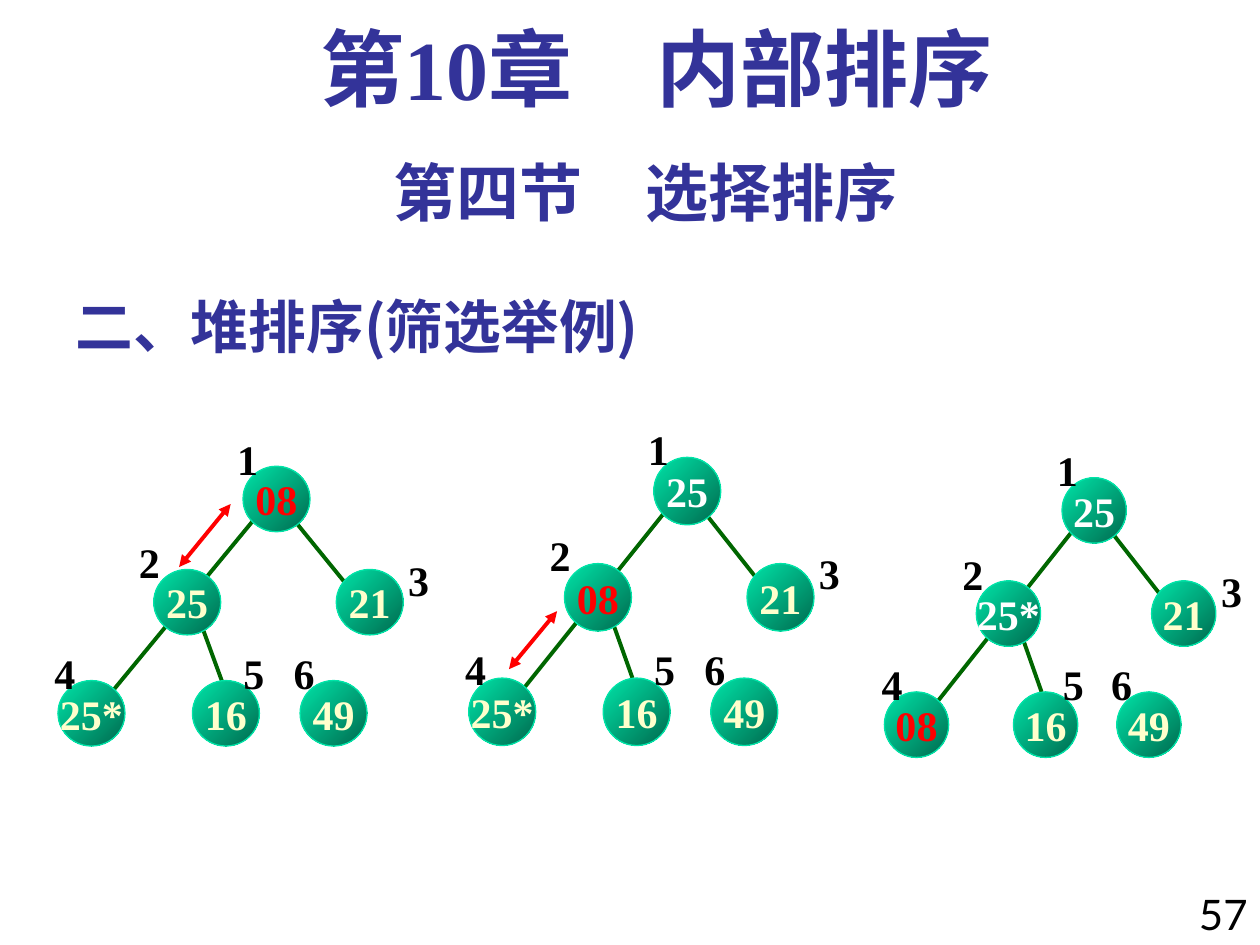
from pptx import Presentation
from pptx.dml.color import RGBColor
from pptx.enum.shapes import MSO_CONNECTOR, MSO_SHAPE
from pptx.enum.text import MSO_ANCHOR, PP_ALIGN
from pptx.oxml.ns import qn
from pptx.util import Cm, Pt
from lxml.etree import SubElement

NAVY = RGBColor(0x33, 0x33, 0x99)
BLACK = RGBColor(0, 0, 0)
WHITE = RGBColor(0xFF, 0xFF, 0xFF)
CREAM = RGBColor(0xFF, 0xFF, 0xCC)
RED = RGBColor(0xFF, 0, 0)
GREEN = RGBColor(0, 0x66, 0)
MINT = RGBColor(0, 0xE4, 0xA8)
TEAL = RGBColor(0, 0x6A, 0x4E)

SERIF, SANS, CJK = "Times New Roman", "Lato", "Noto Sans CJK SC"

# Offsets in cm from the top left of the root node
NODES = [(0, 0), (-1.8, 2.08), (1.88, 2.08), (-3.73, 4.32), (-1.02, 4.32), (1.15, 4.32)]
INDEXES = [(-0.38, -0.79), (-2.36, 1.3), (3.07, 1.65), (-4.06, 3.53), (-0.25, 3.53), (0.76, 3.53)]
EDGES = [((0.91, 0.94), (2.44, 2.82)), ((-0.84, 3.2), (-0.43, 4.32)), ((0.33, 0.94), (-2.77, 4.7))]
NODE_W, NODE_H = 1.35, 1.32

# Root position, horizontal and vertical scale, node values, colours that differ
TREES = [
    ((4.9, 9.4), (1, 1), ["08", "25", "21", "25*", "16", "49"], {"08": RED}),
    ((13.18, 9.22), (1, 1.03), ["25", "08", "21", "25*", "16", "49"], {"25": WHITE, "08": RED}),
    ((21.41, 9.63), (0.96, 1), ["25", "25*", "21", "08", "16", "49"],
     {"25": WHITE, "25*": WHITE, "08": RED}),
]
SWAPS = [((3.61, 11.43), (4.65, 10.16)), ((10.26, 13.49), (11.23, 12.32))]


class HeapSlide:
    def __init__(self, s):
        self.s = s

    def set_text(self, shape, text, size, color, font=SERIF, bold=True,
                 align=PP_ALIGN.CENTER, anchor=MSO_ANCHOR.TOP, wrap=False):
        tf = shape.text_frame
        tf.word_wrap = wrap
        tf.vertical_anchor = anchor
        p = tf.paragraphs[0]
        p.text = text
        p.alignment = align
        f = p.font
        f.name, f.size, f.bold = font, Pt(size), bold
        f.color.rgb = color
        SubElement(p._p.pPr.find(qn("a:defRPr")), qn("a:ea"), typeface=CJK)
        return p

    def text(self, box, text, size, color, shapes=None, **style):
        shapes = self.s.shapes if shapes is None else shapes
        shape = shapes.add_textbox(*map(Cm, box))
        return self.set_text(shape, text, size, color, **style)

    def line(self, start, end, color, shapes=None, arrows=False):
        shapes = self.s.shapes if shapes is None else shapes
        c = shapes.add_connector(MSO_CONNECTOR.STRAIGHT, *map(Cm, (*start, *end)))
        c.line.color.rgb = color
        c.line.width = Pt(2.25)
        if arrows:
            for tag in ("a:headEnd", "a:tailEnd"):
                SubElement(c.line._get_or_add_ln(), qn(tag), type="triangle")
        SubElement(c._element.spPr, qn("a:effectLst"))

    def node(self, box, value, color, shapes):
        shape = shapes.add_shape(MSO_SHAPE.OVAL, *map(Cm, box))
        shape.shadow.inherit = False
        shape.fill.gradient()
        shape.fill.gradient_angle = 315
        for stop, shade in zip(shape.fill.gradient_stops, (MINT, TEAL)):
            stop.color.rgb = shade
        shape.line.color.rgb = MINT
        shape.line.width = Pt(0.75)
        self.set_text(shape, value, 24, color, anchor=MSO_ANCHOR.MIDDLE)

    def tree(self, root, scale, values, colors):
        """Draw one grouped heap with its edges, nodes and index labels."""
        shapes = self.s.shapes.add_group_shape().shapes

        def place(offset):
            return tuple(r + o * k for r, o, k in zip(root, offset, scale))

        for start, end in EDGES:
            self.line(place(start), place(end), GREEN, shapes)
        size = (NODE_W * scale[0], NODE_H * scale[1])
        for offset, value in zip(NODES, values):
            self.node((*place(offset), *size), value, colors.get(value, CREAM), shapes)
        for i, offset in enumerate(INDEXES, 1):
            self.text((*place(offset), 0.94, 1.27), str(i), 24, BLACK, shapes)


def main():
    prs = Presentation()
    prs.slide_width, prs.slide_height = Cm(25.4), Cm(19.05)
    slide = HeapSlide(prs.slides.add_slide(prs.slide_layouts[6]))

    slide.text((1.27, 5.5, 15.88, 1.88), "二、堆排序(筛选举例)", 33, NAVY, font=CJK,
               align=PP_ALIGN.LEFT, anchor=MSO_ANCHOR.BOTTOM, wrap=True)
    slide.text((23.7, 17.78, 1.7, 1.47), "57", 24, BLACK, font=SANS, bold=False,
               align=PP_ALIGN.RIGHT, wrap=True)
    slide.text((1.27, 2.97, 23.5, 1.78), "第四节　选择排序", 36, NAVY, font=SANS, wrap=True)
    chapter = slide.text((1.7, 0.43, 23.06, 2.11), "第10章　内部排序", 48, NAVY, wrap=True)
    chapter.line_spacing = 0.9

    for tree in TREES:
        slide.tree(*tree)
    for start, end in SWAPS:
        slide.line(start, end, RED, arrows=True)

    prs.save("out.pptx")


if __name__ == "__main__":
    main()
